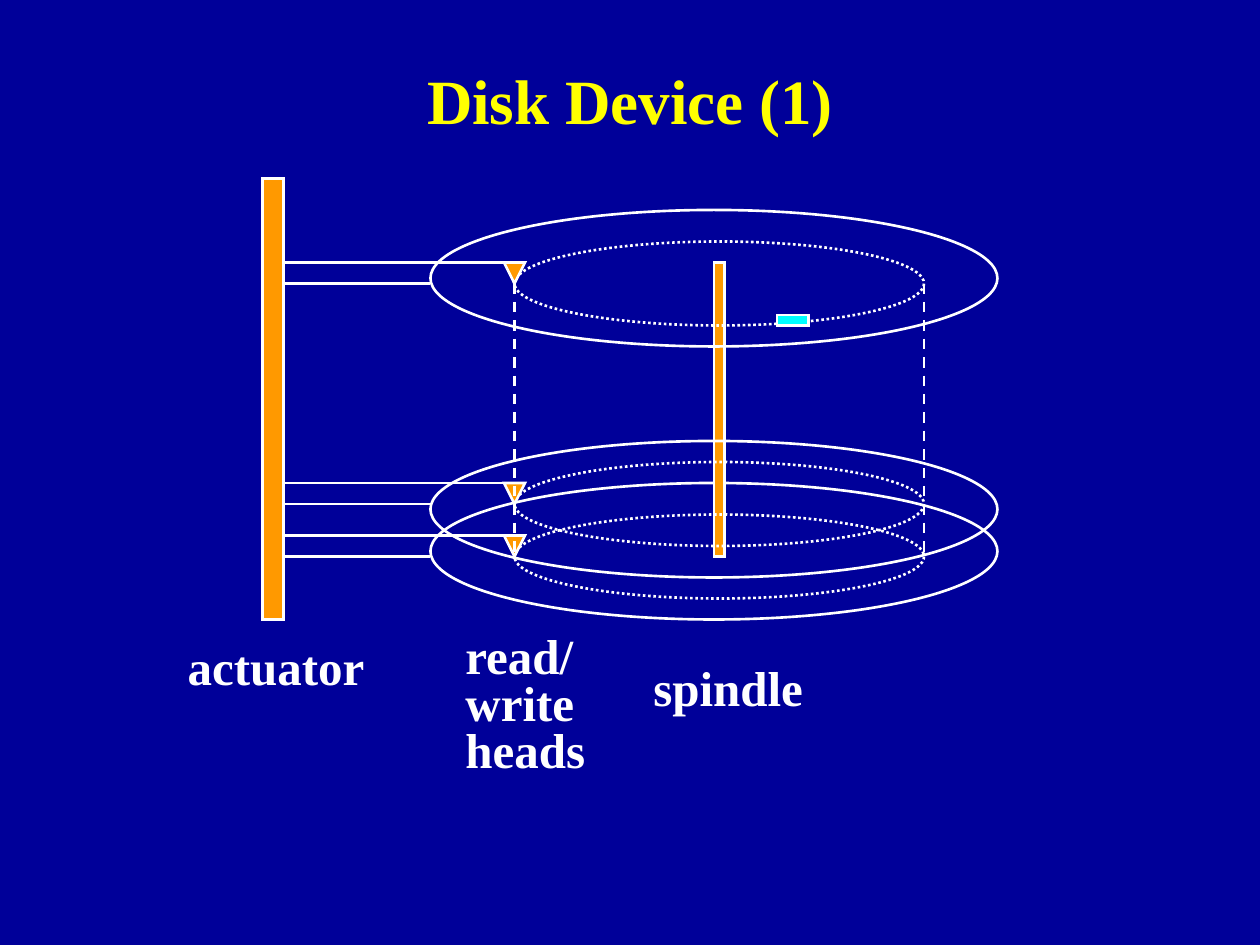
from dataclasses import dataclass

from pptx import Presentation
from pptx.dml.color import RGBColor as Rgb
from pptx.enum.dml import MSO_LINE as Dash
from pptx.enum.shapes import MSO_CONNECTOR as Link, MSO_SHAPE as Kind
from pptx.enum.text import MSO_ANCHOR as Anchor, MSO_AUTO_SIZE as Fit, PP_ALIGN as Align
from pptx.oxml.ns import qn
from pptx.util import Cm, Pt

WHITE, ORANGE, CYAN, YELLOW, NAVY = "FFFFFF", "FF9900", "00FFFF", "FFFF00", "000099"
FONT = "Times New Roman"
STEP = 2.54 / 12


@dataclass
class Box:
    left: float
    top: float
    width: float
    height: float

    def place(self) -> list[Cm]:
        return [grid(n) for n in (self.left, self.top, self.width, self.height)]


@dataclass
class Label:
    box: Box
    lines: list[str]
    pitch: float = 1.0


def grid(count: float) -> Cm:
    return Cm(count * STEP)


def paint(color, code: str) -> None:
    color.rgb = Rgb.from_string(code)


def stroke(shape, dash=None) -> None:
    line = shape.line
    paint(line.color, WHITE)
    line.width = Pt(1.5)
    if dash:
        line.dash_style = dash
    edge = shape._element.spPr.find(qn("a:ln"))
    edge.append(edge.makeelement(qn("a:miter"), {"lim": "800000"}))


def style(para, size: int, code: str) -> None:
    para.font.name = FONT
    para.font.size = Pt(size)
    para.font.bold = True
    paint(para.font.color, code)


def draw(shapes, kind, box: Box, fill: str = "", dash=None) -> None:
    shape = shapes.add_shape(kind, *box.place())
    shape.shadow.inherit = False
    if fill:
        shape.fill.solid()
        paint(shape.fill.fore_color, fill)
    else:
        shape.fill.background()
    stroke(shape, dash)


def join(shapes, start: tuple, end: tuple, dash=None) -> None:
    line = shapes.add_connector(Link.STRAIGHT, *map(grid, start + end))
    stroke(line, dash)
    props = line._element.spPr
    props.append(props.makeelement(qn("a:effectLst"), {}))


def platter(shapes, top: int) -> None:
    draw(shapes, Kind.OVAL, Box(41, top, 54, 13))


def track(shapes, top: int) -> None:
    draw(shapes, Kind.OVAL, Box(49, top, 39, 8), dash=Dash.ROUND_DOT)


def arm(shapes, top: int) -> None:
    join(shapes, (27, top), (50, top))
    join(shapes, (27, top + 2), (41, top + 2))
    draw(shapes, Kind.FLOWCHART_MERGE, Box(48, top, 2, 2), ORANGE)


def write(shapes, label: Label) -> None:
    frame = shapes.add_textbox(*label.box.place()).text_frame
    frame.word_wrap = False
    frame.auto_size = Fit.SHAPE_TO_FIT_TEXT
    frame.text = "\n".join(label.lines)
    for para in frame.paragraphs:
        para.line_spacing = label.pitch
        style(para, 28, WHITE)


def head(title, text: str) -> None:
    title.left, title.top, title.width, title.height = Box(9, 3, 102, 13).place()
    frame = title.text_frame
    frame.text = text
    frame.vertical_anchor = Anchor.MIDDLE
    para = frame.paragraphs[0]
    para.alignment = Align.CENTER
    style(para, 36, YELLOW)


def main() -> None:
    deck = Presentation()
    deck.slide_width, deck.slide_height = Cm(25.4), Cm(19.05)
    slide = deck.slides.add_slide(deck.slide_layouts[5])
    slide.background.fill.solid()
    paint(slide.background.fill.fore_color, NAVY)
    shapes = slide.shapes
    head(shapes.title, "Disk Device (1)")

    platter(shapes, 46)
    draw(shapes, Kind.RECTANGLE, Box(68, 25, 1, 28), ORANGE)
    for top in (42, 20):
        platter(shapes, top)
    for top in (23, 44, 49):
        track(shapes, top)
    draw(shapes, Kind.RECTANGLE, Box(74, 30, 3, 1), CYAN)
    draw(shapes, Kind.RECTANGLE, Box(25, 17, 2, 42), ORANGE)
    for top in (25, 46, 51):
        arm(shapes, top)

    labels = [
        Label(Box(16.7, 60, 19.2, 6.8), ["actuator"]),
        Label(Box(43.15, 60.1, 13.8, 14.6), ["read/", "write", "heads"], 0.8),
        Label(Box(61.05, 62, 16.8, 6.8), ["spindle"]),
    ]
    for label in labels:
        write(shapes, label)
    for side in (88, 49):
        join(shapes, (side, 27), (side, 53), Dash.DASH)

    deck.save("out.pptx")


if __name__ == "__main__":
    main()
